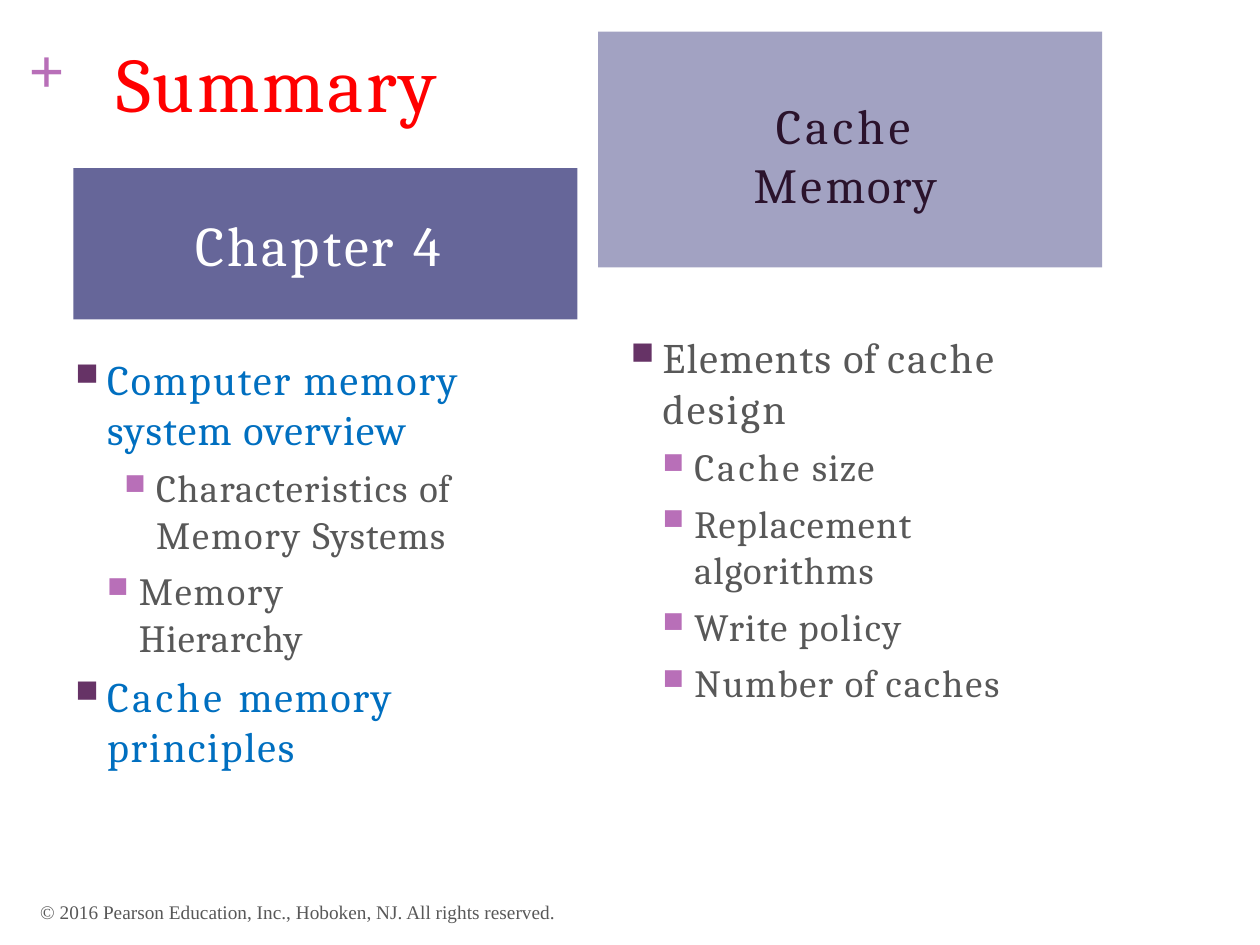
from dataclasses import dataclass
from lxml.etree import SubElement as Sub
from pptx import Presentation
from pptx.dml.color import RGBColor
from pptx.enum.shapes import MSO_SHAPE as Preset
from pptx.enum.text import MSO_ANCHOR as Anchor, PP_ALIGN as Align
from pptx.oxml.ns import qn
from pptx.util import Cm, Pt

RED = RGBColor(0xFF, 0x00, 0x00)
BLUE = RGBColor(0x00, 0x6F, 0xC0)
GRAY = RGBColor(0x58, 0x58, 0x58)
WHITE = RGBColor(0xFF, 0xFF, 0xFF)
DARK = RGBColor(0x2B, 0x13, 0x2C)
PLUM = RGBColor(0x66, 0x33, 0x66)
PINK = RGBColor(0xB8, 0x6F, 0xB8)
INDIGO = RGBColor(0x66, 0x66, 0x99)
LILAC = RGBColor(0xA2, 0xA2, 0xC2)
SERIF = "Cambria"
ROMAN = "Times New Roman"
HANG = 0.64


@dataclass
class Area:
    left: float
    top: float
    width: float
    height: float

    def lengths(self) -> list:
        return [Cm(v) for v in (self.left, self.top, self.width, self.height)]


@dataclass
class Point:
    runs: list
    color: RGBColor = GRAY
    level: int = 0
    indent: float = 0.66
    right: float = 0


@dataclass
class Banner:
    area: Area
    fill: RGBColor
    insets: tuple
    runs: list
    size: int
    color: RGBColor


def write(para, runs: list, *, size: float, color: RGBColor, font: str = SERIF,
          bold: bool = False, align: Align = Align.LEFT) -> None:
    para.alignment = align
    for text, gap in runs:
        run = para.add_run()
        run.text = text
        run.font.size = Pt(size)
        run.font.name = font
        run.font.bold = bold
        run.font.color.rgb = color
        run.font._element.set("spc", str(round(gap * 100)))


def pad(frame, left: float = 0, top: float = 0.03, right: float = 0) -> None:
    frame.word_wrap = True
    frame.margin_left, frame.margin_top = Cm(left), Cm(top)
    frame.margin_right, frame.margin_bottom = Cm(right), Cm(0)


def add_box(slide, area: Area):
    frame = slide.shapes.add_textbox(*area.lengths()).text_frame
    pad(frame, top=0.06)
    return frame


def add_mark(para, point: Point) -> None:
    props = para._p.get_or_add_pPr()
    props.set("marL", str(Cm(point.indent)))
    props.set("marR", str(Cm(point.right)))
    props.set("indent", str(-Cm(HANG)))
    tint = Sub(props, qn("a:buClr"))
    Sub(tint, qn("a:srgbClr"), val=str(PINK if point.level else PLUM))
    Sub(props, qn("a:buSzPct"), val="75000")
    Sub(props, qn("a:buChar"), char="■")


def add_list(slide, area: Area, points: list) -> None:
    frame = add_box(slide, area)
    for i, point in enumerate(points):
        para = frame.add_paragraph() if i else frame.paragraphs[0]
        add_mark(para, point)
        para.level = point.level
        para.space_before = Pt(6 if i else 0)
        write(para, point.runs, size=22 if point.level else 24, color=point.color)


def add_banner(slide, item: Banner) -> None:
    shape = slide.shapes.add_shape(Preset.RECTANGLE, *item.area.lengths())
    shape.shadow.inherit = False
    shape.fill.solid()
    shape.fill.fore_color.rgb = item.fill
    shape.line.fill.background()
    frame = shape.text_frame
    pad(frame, *item.insets)
    frame.vertical_anchor = Anchor.MIDDLE
    write(frame.paragraphs[0], item.runs, size=item.size, color=item.color,
          align=Align.CENTER)


def sub(*runs: tuple, indent: float = 1.3, right: float = 0) -> Point:
    return Point(list(runs), level=1, indent=indent, right=right)


LEFT = [
    Point([("Computer memory ", 1.15), ("system overview", 0.75)], BLUE),
    sub(("Characteristics ", 0.8), ("of ", 0.2), ("Memory ", 1.1),
        ("Systems", 0.7), indent=1.65),
    sub(("Memory ", 1.1), ("Hierarchy", 0.5), right=2.5),
    Point([("Cache ", 2), ("memory principles", 1.05)], BLUE),
]
RIGHT = [
    Point([("Elements ", 0.8), ("of ", 0.3), ("cache design", 1.4)], right=1.3),
    sub(("Cache", 1.8), (" size", 0.6)),
    sub(("Replacement ", 0.8), ("algorithms", 0.6), right=1.3),
    sub(("Write ", 0.7), ("policy", 1)),
    sub(("Number ", 0.9), ("of ", 0.3), ("caches", 1.2)),
]
BANNERS = [
    Banner(Area(1.48, 3.39, 10.16, 3.05), INDIGO, (0, 0, 0.3),
           [("Chapter ", 1.8), ("4", -0.4)], 32, WHITE),
    Banner(Area(12.06, 0.64, 10.16, 4.75), LILAC, (2.8, 0.2, 3),
           [("Cache ", 2.4), ("Me", 2), ("mory", 1)], 28, DARK),
]


def main() -> None:
    deck = Presentation()
    deck.slide_width, deck.slide_height = Cm(25.4), Cm(19.05)
    slide = deck.slides.add_slide(deck.slide_layouts[6])

    plus = add_box(slide, Area(0.58, 0.56, 0.79, 1.6))
    write(plus.paragraphs[0], [("+", 0)], size=36, color=PINK, font=ROMAN, bold=True)
    title = add_box(slide, Area(2.34, 0.66, 6.83, 1.93))
    write(title.paragraphs[0], [("Sum", 1.25), ("mary", 1.5)], size=44, color=RED)
    add_list(slide, Area(1.5, 7.06, 8.15, 7.57), LEFT)
    add_list(slide, Area(12.7, 6.63, 10.03, 6.68), RIGHT)
    foot = add_box(slide, Area(0.81, 18.08, 10.8, 0.53))
    write(foot.paragraphs[0],
          [("© 2016 Pearson Education, Inc., Hoboken, NJ. All rights reserved.", 0)],
          size=11, color=GRAY, font=ROMAN)
    for item in BANNERS:
        add_banner(slide, item)

    deck.save("out.pptx")


if __name__ == "__main__":
    main()
